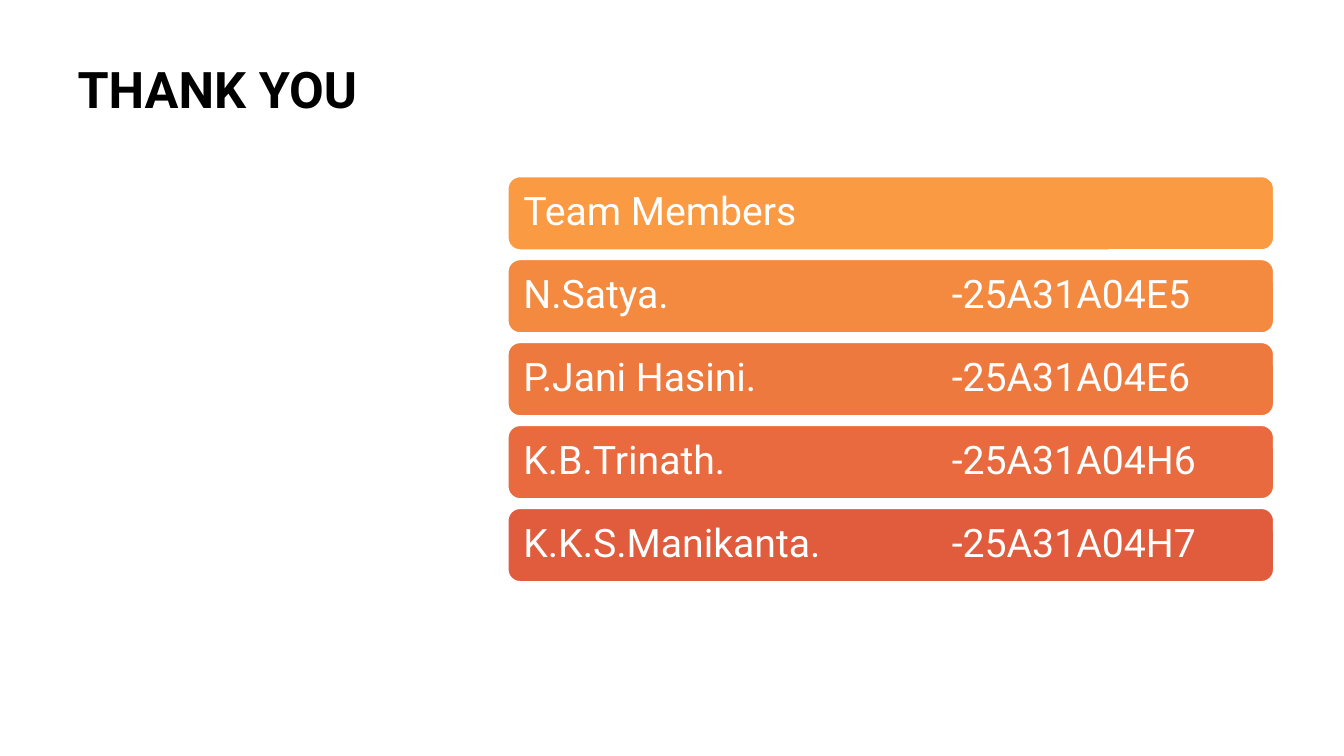
"""Build the closing slide: a thank-you title and a stack of team member bars."""
import pptx
import pptx.dml.color
import pptx.enum.shapes
import pptx.enum.text
import pptx.oxml
import pptx.oxml.ns
import pptx.util

Cm = pptx.util.Cm
Pt = pptx.util.Pt
RGBColor = pptx.dml.color.RGBColor

BLACK = RGBColor(0x00, 0x00, 0x00)
WHITE = RGBColor(0xFF, 0xFF, 0xFF)
BAR_COLOURS = [
    RGBColor(0xFA, 0x9A, 0x42),
    RGBColor(0xF4, 0x89, 0x40),
    RGBColor(0xEE, 0x79, 0x3F),
    RGBColor(0xE8, 0x6A, 0x3E),
    RGBColor(0xE1, 0x5C, 0x3D),
]
ROWS = [
    "Team Members",
    "N.Satya.\t-25A31A04E5",
    "P.Jani Hasini.\t-25A31A04E6",
    "K.B.Trinath.\t-25A31A04H6",
    "K.K.S.Manikanta.\t-25A31A04H7",
]
BAR_TOP = 4.45
BAR_PITCH = 2.09
NUMBER_TAB = 10.8


def write_line(frame, text, size, colour, bold=False):
    para = frame.paragraphs[0]
    para.alignment = pptx.enum.text.PP_ALIGN.LEFT
    para.line_spacing = 0.9
    span = para.add_run()
    span.text = text
    span.font.name = "Roboto"
    span.font.size = Pt(size)
    span.font.bold = bold
    span.font.color.rgb = colour
    return para


deck = pptx.Presentation()
deck.slide_width = Cm(33.87)
deck.slide_height = Cm(19.05)
page = deck.slides.add_slide(deck.slide_layouts[5])

title = page.shapes.title
title.left, title.top, title.width, title.height = Cm(1.7), Cm(1.52), Cm(9.7), Cm(16.08)
title.text_frame.word_wrap = True
title.text_frame.auto_size = pptx.enum.text.MSO_AUTO_SIZE.NONE
title.text_frame.vertical_anchor = pptx.enum.text.MSO_ANCHOR.TOP
write_line(title.text_frame, "THANK YOU", 36, BLACK, bold=True)

for index, (row, colour) in enumerate(zip(ROWS, BAR_COLOURS)):
    bar = page.shapes.add_shape(
        pptx.enum.shapes.MSO_SHAPE.ROUNDED_RECTANGLE,
        Cm(12.8), Cm(BAR_TOP + index * BAR_PITCH), Cm(19.3), Cm(1.85),
    )
    bar.shadow.inherit = False
    bar.fill.solid()
    bar.fill.fore_color.rgb = colour
    bar.line.color.rgb = WHITE
    bar.line.width = Pt(1)

    frame = bar.text_frame
    frame.word_wrap = True
    frame.vertical_anchor = pptx.enum.text.MSO_ANCHOR.MIDDLE
    frame.margin_left = frame.margin_right = Cm(0.3)
    frame.margin_top = frame.margin_bottom = Cm(0.3)
    para = write_line(frame, row, 28, WHITE)
    if "\t" in row:
        tabs = pptx.oxml.parse_xml(
            f'<a:tabLst {pptx.oxml.ns.nsdecls("a")}>'
            f'<a:tab pos="{Cm(NUMBER_TAB)}" algn="l"/></a:tabLst>'
        )
        para._p.get_or_add_pPr().append(tabs)

deck.save("out.pptx")
